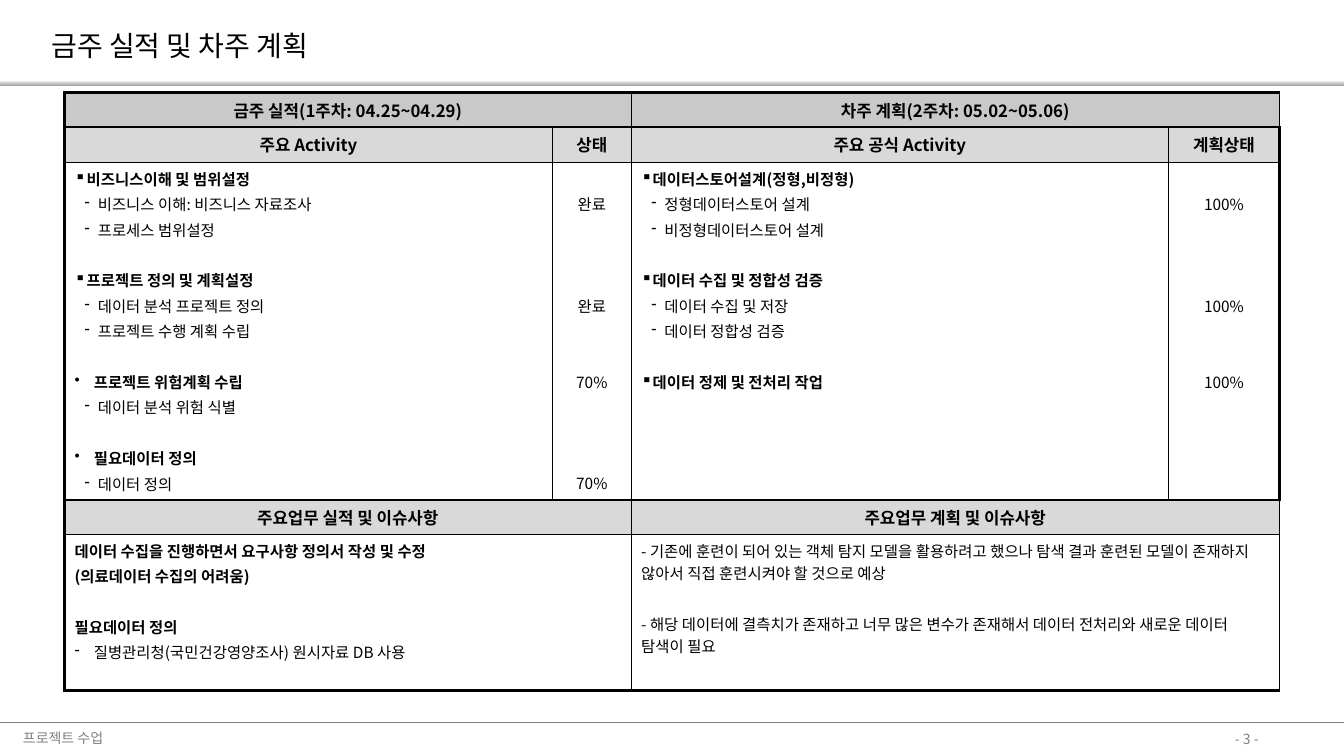
from copy import deepcopy
from dataclasses import dataclass

from pptx import Presentation
from pptx.dml.color import RGBColor as RGB
from pptx.enum.shapes import MSO_CONNECTOR as CONN, MSO_SHAPE as SHAPE
from pptx.enum.text import MSO_ANCHOR as ANCHOR, PP_ALIGN as ALIGN
from pptx.oxml.ns import qn
from pptx.util import Inches, Pt
from lxml.etree import SubElement


@dataclass(frozen=True)
class Theme:
    font: str = "Noto Sans CJK KR"
    ink: str = "000000"
    muted: str = "808080"
    paper: str = "FFFFFF"
    head: str = "C9C9C9"
    subhead: str = "D9D9D9"
    bar: tuple = ((0, "FAFAFA"), (0.35, "D7D7D7"), (1, "A6A6A6"))
    title_size: float = 20
    head_size: float = 12
    body_size: float = 11
    small_size: float = 10
    thin: float = 1
    thick: float = 2.25
    gap: float = 2.2    # space between paragraphs
    pitch: float = 18.1  # one body line with its gap


# Paragraph styles: bullet, text indent, bullet hang (inches)
LEFT, CENTER = ALIGN.LEFT, ALIGN.CENTER
STYLES = {
    "head": dict(size="head_size", bold=True, align=CENTER),
    "status": dict(align=CENTER),
    "topic": dict(bold=True, bullet="▪", indent=0.12, hang=0.12),
    "plan": dict(bold=True, bullet="▪", indent=0.09, hang=0.09),
    "dot": dict(bold=True, bullet="•", indent=0.19, hang=0.19),
    "sub": dict(bullet="-", indent=0.23, hang=0.13),
    "dash": dict(bullet="-", indent=0.19, hang=0.19),
    "strong": dict(bold=True),
    "plain": dict(),
}


class Deck:
    def __init__(self, slide, theme):
        self.s, self.t = slide, theme

    def run(self, p, text, size, color, bold=False):
        r = p.add_run()
        r.text = text
        fmt = dict(name=self.t.font, size=Pt(size), bold=bold)
        for key, value in fmt.items():
            setattr(r.font, key, value)
        r.font.color.rgb = RGB.from_string(color)
        SubElement(r.font._element, qn("a:ea"), typeface=self.t.font)

    def label(self, box, text, size, color):
        sp = self.s.shapes.add_textbox(*map(Inches, box))
        sp.text_frame.word_wrap = False
        self.run(sp.text_frame.paragraphs[0], text, size, color)

    def gradient_bar(self, box, stops):
        sp = self.s.shapes.add_shape(SHAPE.RECTANGLE, *map(Inches, box))
        sp.shadow.inherit = False
        sp.line.fill.background()
        sp.fill.gradient()
        sp.fill.gradient_angle = 270
        gs_list = sp._element.find(".//" + qn("a:gsLst"))
        gs_list.append(deepcopy(gs_list[-1]))
        for stop, (position, color) in zip(sp.fill.gradient_stops, stops):
            stop.position = position
            stop.color.rgb = RGB.from_string(color)

    def rule(self, x1, y1, x2, y2, color, width):
        ln = self.s.shapes.add_connector(CONN.STRAIGHT, *map(Inches, (x1, y1, x2, y2)))
        ln.line.color.rgb = RGB.from_string(color)
        ln.line.width = Pt(width)
        SubElement(ln._element.spPr, qn("a:effectLst"))

    def table(self, x, y, cols, rows):
        size = map(Inches, (x, y, sum(cols), sum(rows)))
        tbl = self.s.shapes.add_table(len(rows), len(cols), *size).table
        tbl.first_row = tbl.horz_banding = False
        for col, width in zip(tbl.columns, cols):
            col.width = Inches(width)
        for row, height in zip(tbl.rows, rows):
            row.height = Inches(height)
        return tbl

    def borders(self, tbl):
        last_row, last_col = len(tbl.rows) - 1, len(tbl.columns) - 1
        for i in range(last_row + 1):
            for j in range(last_col + 1):
                outer = dict(L=j == 0, R=j == last_col, T=i == 0, B=i == last_row)
                tc_pr = tbl.cell(i, j)._tc.get_or_add_tcPr()
                for side, edge in outer.items():
                    width = Pt(self.t.thick if edge else self.t.thin)
                    ln = SubElement(tc_pr, qn("a:ln" + side), w=str(width))
                    fill = SubElement(ln, qn("a:solidFill"))
                    SubElement(fill, qn("a:srgbClr"), val=self.t.ink)

    def paragraph(self, p, style, text, skip=0):
        """Write one paragraph, set off by a number of skipped lines."""
        f = STYLES[style]
        fmt = dict(alignment=f.get("align", LEFT),
                   space_before=Pt(self.t.gap + skip * self.t.pitch))
        for key, value in fmt.items():
            setattr(p, key, value)
        if "bullet" in f:
            p_pr = p._p.get_or_add_pPr()
            p_pr.set("marL", str(Inches(f["indent"])))
            p_pr.set("indent", str(-Inches(f["hang"])))
            SubElement(p_pr, qn("a:buChar"), char=f["bullet"])
        size = getattr(self.t, f.get("size", "body_size"))
        self.run(p, text, size, self.t.ink, f.get("bold", False))

    def cell(self, cell, lines, fill, anchor=ANCHOR.TOP, skip=0):
        fmt = dict(vertical_anchor=anchor, margin_left=Inches(0.1), margin_right=Inches(0.1),
                   margin_top=Inches(0.05) + Pt(skip * self.t.pitch), margin_bottom=Inches(0.05))
        for key, value in fmt.items():
            setattr(cell, key, value)
        cell.fill.solid()
        cell.fill.fore_color.rgb = RGB.from_string(fill)
        tf = cell.text_frame
        for k, line in enumerate(lines):
            self.paragraph(tf.add_paragraph() if k else tf.paragraphs[0], *line)


# Table content: (row, column) -> text
HEADS = {
    (0, 0): "금주 실적(1주차: 04.25~04.29)", (0, 2): "차주 계획(2주차: 05.02~05.06)",
    (1, 0): "주요 Activity", (1, 1): "상태",
    (1, 2): "주요 공식 Activity", (1, 3): "계획상태",
    (3, 0): "주요업무 실적 및 이슈사항", (3, 2): "주요업무 계획 및 이슈사항",
}
BODIES = {
    (2, 0): [
        ("topic", "비즈니스이해 및 범위설정"),
        ("sub", "비즈니스 이해: 비즈니스 자료조사"),
        ("sub", "프로세스 범위설정"),
        ("topic", "프로젝트 정의 및 계획설정", 1),
        ("sub", "데이터 분석 프로젝트 정의"),
        ("sub", "프로젝트 수행 계획 수립"),
        ("dot", "프로젝트 위험계획 수립", 1),
        ("sub", "데이터 분석 위험 식별"),
        ("dot", "필요데이터 정의", 1),
        ("sub", "데이터 정의"),
    ],
    (2, 1): [("status", "완료"), ("status", "완료", 3),
             ("status", "70%", 2), ("status", "70%", 3)],
    (2, 2): [
        ("plan", "데이터스토어설계(정형,비정형)"),
        ("sub", "정형데이터스토어 설계"),
        ("sub", "비정형데이터스토어 설계"),
        ("plan", "데이터 수집 및 정합성 검증", 1),
        ("sub", "데이터 수집 및 저장"),
        ("sub", "데이터 정합성 검증"),
        ("plan", "데이터 정제 및 전처리 작업", 1),
    ],
    (2, 3): [("status", "100%"), ("status", "100%", 3), ("status", "100%", 2)],
    (4, 0): [
        ("strong", "데이터 수집을 진행하면서 요구사항 정의서 작성 및 수정"),
        ("strong", "(의료데이터 수집의 어려움)"),
        ("strong", "필요데이터 정의", 1),
        ("dash", "질병관리청(국민건강영양조사) 원시자료 DB 사용"),
    ],
    (4, 2): [
        ("plain", "- 기존에 훈련이 되어 있는 객체 탐지 모델을 활용하려고 했으나 탐색 결과 "
                  "훈련된 모델이 존재하지 않아서 직접 훈련시켜야 할 것으로 예상"),
        ("plain", "- 해당 데이터에 결측치가 존재하고 너무 많은 변수가 존재해서 "
                  "데이터 전처리와 새로운 데이터 탐색이 필요", 1),
    ],
}


def main():
    prs = Presentation()
    prs.slide_width, prs.slide_height = Inches(13.33), Inches(7.5)
    t = Theme()
    deck = Deck(prs.slides.add_slide(prs.slide_layouts[6]), t)

    # Header and footer
    deck.gradient_bar((0, 0.8, 13.33, 0.05), t.bar)
    deck.rule(0, 7.17, 13.33, 7.17, t.muted, 0.5)
    deck.label((12.15, 7.2, 0.59, 0.27), "- 3 -", t.small_size, t.muted)
    deck.label((0.13, 7.19, 2.46, 0.27), "프로젝트 수업", t.small_size, t.muted)
    deck.label((0.41, 0.23, 2.88, 0.44), "금주 실적 및 차주 계획", t.title_size, t.ink)

    # Weekly report table
    tbl = deck.table(0.64, 0.92, [4.84, 0.78, 5.33, 1.1], [0.34, 0.35, 3.35, 0.34, 1.55])
    deck.borders(tbl)
    for i in (0, 3, 4):
        for j in (0, 2):
            tbl.cell(i, j).merge(tbl.cell(i, j + 1))
    for (i, j), text in HEADS.items():
        fill = t.subhead if i else t.head
        deck.cell(tbl.cell(i, j), [("head", text)], fill, ANCHOR.MIDDLE)
    for (i, j), lines in BODIES.items():
        skip = 1 if lines[0][0] == "status" else 0
        deck.cell(tbl.cell(i, j), lines, t.paper, skip=skip)

    prs.save("out.pptx")


if __name__ == "__main__":
    main()
